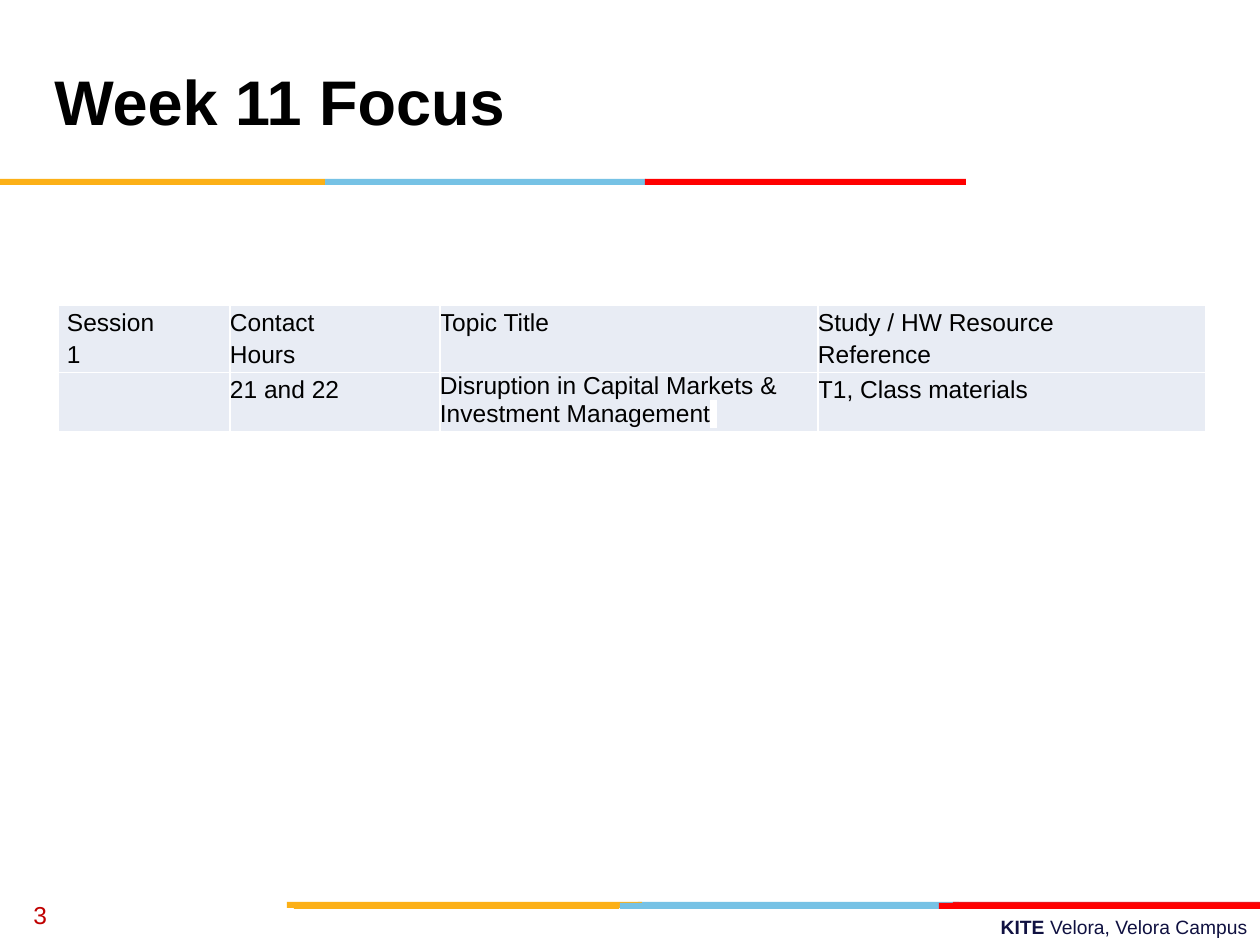
from lxml import etree
from pptx import Presentation
from pptx import util as u
from pptx.dml.color import RGBColor
from pptx.enum import shapes, text
from pptx.oxml import ns

EMU_PER_PX = 914400 / 126
FONT = "Arial"
BLACK = RGBColor(0x00, 0x00, 0x00)
WHITE = RGBColor(0xFF, 0xFF, 0xFF)
NAVY = RGBColor(0x10, 0x11, 0x41)
CRIMSON = RGBColor(0xC0, 0x00, 0x00)
AMBER = RGBColor(0xFC, 0xB0, 0x17)
SKY = RGBColor(0x76, 0xC2, 0xE5)
RED = RGBColor(0xFF, 0x00, 0x00)
DARK_RED = RGBColor(0xE3, 0x1C, 0x24)
PALE_BLUE = RGBColor(0xE8, 0xEC, 0xF4)
BAR_HEIGHT = 6


def px(length):
    return u.Emu(round(length * EMU_PER_PX))


def add_run(paragraph, wording, size, color, bold=False):
    run = paragraph.add_run()
    run.text = wording
    run.font.name = FONT
    run.font.size = u.Pt(size)
    run.font.bold = bold
    run.font.color.rgb = color
    return run


def add_label(slide, box, runs, size, color, align=text.PP_ALIGN.LEFT,
              anchor=text.MSO_ANCHOR.MIDDLE):
    """Put one line of (wording, bold) runs into a text box."""
    frame = slide.shapes.add_textbox(*map(px, box)).text_frame
    frame.word_wrap = True
    frame.vertical_anchor = anchor
    paragraph = frame.paragraphs[0]
    paragraph.alignment = align
    for wording, bold in runs:
        add_run(paragraph, wording, size, color, bold)


def add_stripe(slide, left, top, bars):
    """Draw coloured bars given as (offset, width, color)."""
    for offset, width, color in bars:
        bar = slide.shapes.add_shape(
            shapes.MSO_SHAPE.RECTANGLE,
            px(left + offset), px(top), px(width), px(BAR_HEIGHT))
        bar.shadow.inherit = False
        bar.fill.solid()
        bar.fill.fore_color.rgb = color
        bar.line.fill.background()


def add_header(slide, left, top):
    add_stripe(slide, left, top + 179,
               [(325, 321, SKY), (0, 325, AMBER), (645, 321, RED)])
    add_label(slide, (left + 42, top + 21, 872, 158),
              [("Week 11 Focus", True)], 36, BLACK)


def add_footer(slide, left, top):
    add_label(slide, (left + 451, top + 19, 809, 36),
              [("KITE ", True), ("Velora, Velora Campus", False)], 11, NAVY,
              text.PP_ALIGN.RIGHT, text.MSO_ANCHOR.TOP)
    # Two overlapping stripes, one pixel apart
    add_stripe(slide, left, top + 12,
               [(638, 321, SKY), (953, 307, DARK_RED), (287, 355, AMBER)])
    add_stripe(slide, left, top + 13,
               [(620, 321, SKY), (294, 325, AMBER), (939, 321, RED)])
    add_label(slide, (left + 21, top, 294, 50), [("3", False)], 14, CRIMSON)


def add_borders(cell):
    properties = cell._tc.get_or_add_tcPr()
    for index, side in enumerate(("lnL", "lnR", "lnT", "lnB")):
        line = etree.Element(ns.qn(f"a:{side}"), w=str(u.Pt(1)))
        fill = etree.SubElement(line, ns.qn("a:solidFill"))
        etree.SubElement(fill, ns.qn("a:srgbClr"), val=str(WHITE))
        properties.insert(index, line)


def add_highlight(run, color):
    highlight = etree.Element(ns.qn("a:highlight"))
    etree.SubElement(highlight, ns.qn("a:srgbClr"), val=str(color))
    run._r.rPr.find(ns.qn("a:solidFill")).addnext(highlight)


def fill_cell(cell, lines, side_margin, spacing):
    cell.fill.solid()
    cell.fill.fore_color.rgb = PALE_BLUE
    add_borders(cell)
    cell.margin_left = cell.margin_right = px(side_margin)
    cell.margin_top = cell.margin_bottom = 0
    paragraph = cell.text_frame.paragraphs[0]
    paragraph.line_spacing = spacing
    paragraph.font.size = u.Pt(14)
    for index, line in enumerate(lines):
        if index:
            paragraph.add_line_break()
        add_run(paragraph, line, 14, BLACK)
    return paragraph


def add_schedule(slide, left, top):
    widths = (172, 210, 378, 388)
    heights = (67, 58)
    rows = (
        (("Session", "1"), ("Contact", "Hours"), ("Topic Title",),
         ("Study / HW Resource", "Reference")),
        ((), ("21 and 22",),
         ("Disruption in Capital Markets & Investment Management",),
         ("T1, Class materials",)),
    )
    table = slide.shapes.add_table(
        len(rows), len(widths), px(left), px(top),
        px(sum(widths)), px(sum(heights))).table
    table.first_row = table.horz_banding = False
    for column, width in zip(table.columns, widths):
        column.width = px(width)
    for row, height in zip(table.rows, heights):
        row.height = px(height)
    for row_index, row in enumerate(rows):
        for column_index, lines in enumerate(row):
            is_topic = (row_index, column_index) == (1, 2)
            paragraph = fill_cell(table.cell(row_index, column_index), lines,
                                  0 if column_index else 9,
                                  1.0 if is_topic else 1.15)
            if is_topic:
                add_highlight(add_run(paragraph, " ", 14, BLACK), WHITE)


def main():
    presentation = Presentation()
    presentation.slide_width = px(1260)
    presentation.slide_height = px(945)
    slide = presentation.slides.add_slide(presentation.slide_layouts[6])
    add_footer(slide, 0, 890)
    add_header(slide, 0, 0)
    add_schedule(slide, 58, 305)
    presentation.save("out.pptx")


if __name__ == "__main__":
    main()
